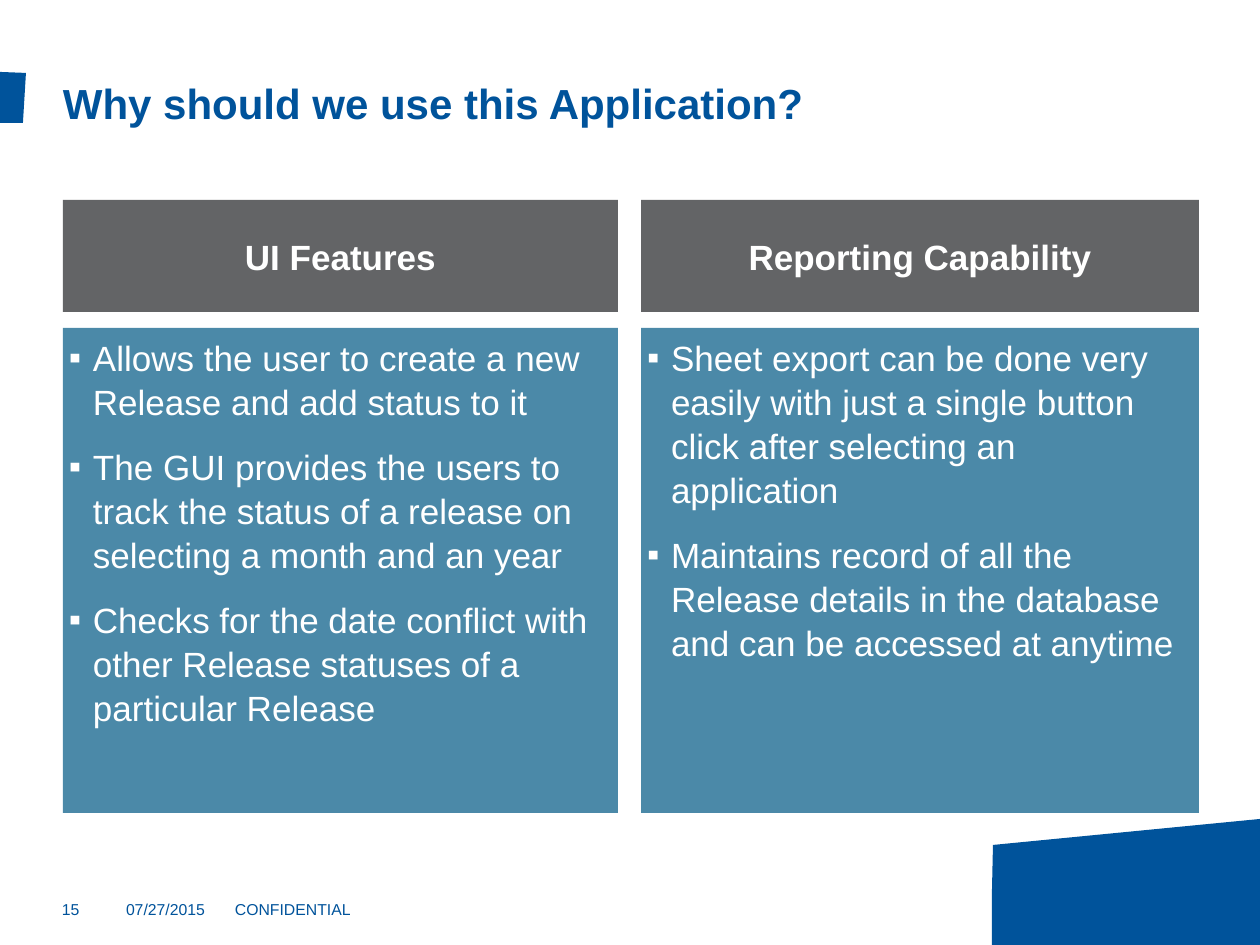
import pptx
import pptx.dml.color
import pptx.enum.shapes
import pptx.enum.text
import pptx.oxml.ns
import pptx.util
from lxml import etree

COLORS = {"blue": "00539B", "teal": "4B89A8", "gray": "636466", "white": "FFFFFF"}
SCALE = 914400 / 126  # EMU per px
ALIGN = pptx.enum.text.PP_ALIGN
ANCHOR = pptx.enum.text.MSO_ANCHOR


def emu(px):
    return pptx.util.Emu(round(px * SCALE))


def color(name):
    return pptx.dml.color.RGBColor.from_string(COLORS[name])


class SlideBuilder:
    font = "Arial"
    panel_inset = 6
    bullet_indent = 24

    def __init__(self, page):
        self.page = page

    def paint(self, shape, fill):
        shape.shadow.inherit = False
        shape.fill.solid()
        shape.fill.fore_color.rgb = color(fill)
        shape.line.fill.background()

    def outline(self, points, fill):
        builder = self.page.shapes.build_freeform(*points[0], scale=SCALE)
        builder.add_line_segments(points[1:], close=True)
        self.paint(builder.convert_to_shape(), fill)

    def frame(self, shape, inset, anchor):
        frame = shape.text_frame
        frame.word_wrap = True
        frame.vertical_anchor = anchor
        frame.margin_left = frame.margin_right = emu(inset)
        frame.margin_top = frame.margin_bottom = emu(inset)
        return frame

    def add_text(self, para, text, size, ink, bold=False, align=ALIGN.LEFT):
        para.alignment = align
        span = para.add_run()
        span.text = text
        span.font.name = self.font
        span.font.size = pptx.util.Pt(size)
        span.font.bold = bold
        span.font.color.rgb = color(ink)

    def label(self, left, top, width, height, text, size, bold=False, anchor=ANCHOR.TOP):
        box = self.page.shapes.add_textbox(*map(emu, (left, top, width, height)))
        frame = self.frame(box, 0, anchor)
        self.add_text(frame.paragraphs[0], text, size, "blue", bold)

    def panel(self, left, top, width, height, fill, anchor):
        """Add a filled rectangle and return its text frame."""
        kind = pptx.enum.shapes.MSO_SHAPE.RECTANGLE
        box = self.page.shapes.add_shape(kind, *map(emu, (left, top, width, height)))
        self.paint(box, fill)
        return self.frame(box, self.panel_inset, anchor)

    def space(self, para):
        para.space_before = para.space_after = pptx.util.Pt(6)

    def heading(self, left, top, width, height, text):
        para = self.panel(left, top, width, height, "gray", ANCHOR.MIDDLE).paragraphs[0]
        self.space(para)
        self.add_text(para, text, 20, "white", True, ALIGN.CENTER)

    def bullets(self, left, top, width, height, items):
        frame = self.panel(left, top, width, height, "teal", ANCHOR.TOP)
        for index, item in enumerate(items):
            para = frame.add_paragraph() if index else frame.paragraphs[0]
            self.space(para)
            para.line_spacing = 1.05
            self.add_text(para, item, 20, "white")
            self.mark(para)

    def mark(self, para):
        """Give the paragraph a white square bullet with a hanging indent."""
        qn = pptx.oxml.ns.qn
        props = para._p.get_or_add_pPr()
        props.set("marL", str(emu(self.bullet_indent)))
        props.set("indent", str(-emu(self.bullet_indent)))
        tint = etree.SubElement(props, qn("a:buClr"))
        etree.SubElement(tint, qn("a:srgbClr"), val=COLORS["white"])
        etree.SubElement(props, qn("a:buFont"), typeface=self.font)
        etree.SubElement(props, qn("a:buChar"), char="▪")


def main():
    deck = pptx.Presentation()
    deck.slide_width, deck.slide_height = emu(1260), emu(945)
    slide = SlideBuilder(deck.slides.add_slide(deck.slide_layouts[6]))

    slide.outline([(993, 845), (1260, 819), (1260, 945), (992, 945), (992, 890)], "blue")
    slide.outline([(0, 72), (26, 73), (23, 123), (0, 123)], "blue")
    slide.label(63, 64, 1197, 64, "Why should we use this Application?", 24, True, ANCHOR.BOTTOM)

    columns = [
        (63, 555, "UI Features", [
            "Allows the user to create a new Release and add status to it",
            "The GUI provides the users to track the status of a release on "
            "selecting a month and an year",
            "Checks for the date conflict with other Release statuses of a particular Release",
        ]),
        (641, 558, "Reporting Capability", [
            "Sheet export can be done very easily with just a single button "
            "click after selecting an application",
            "Maintains record of all the Release details in the database "
            "and can be accessed at anytime",
        ]),
    ]
    for left, width, title, items in columns:
        slide.heading(left, 200, width, 112, title)
        slide.bullets(left, 328, width, 485, items)

    for left, width, text in [(62, 48, "15"), (126, 92, "07/27/2015"), (235, 134, "CONFIDENTIAL")]:
        slide.label(left, 900, width, 25, text, 9)

    deck.save("out.pptx")


if __name__ == "__main__":
    main()
